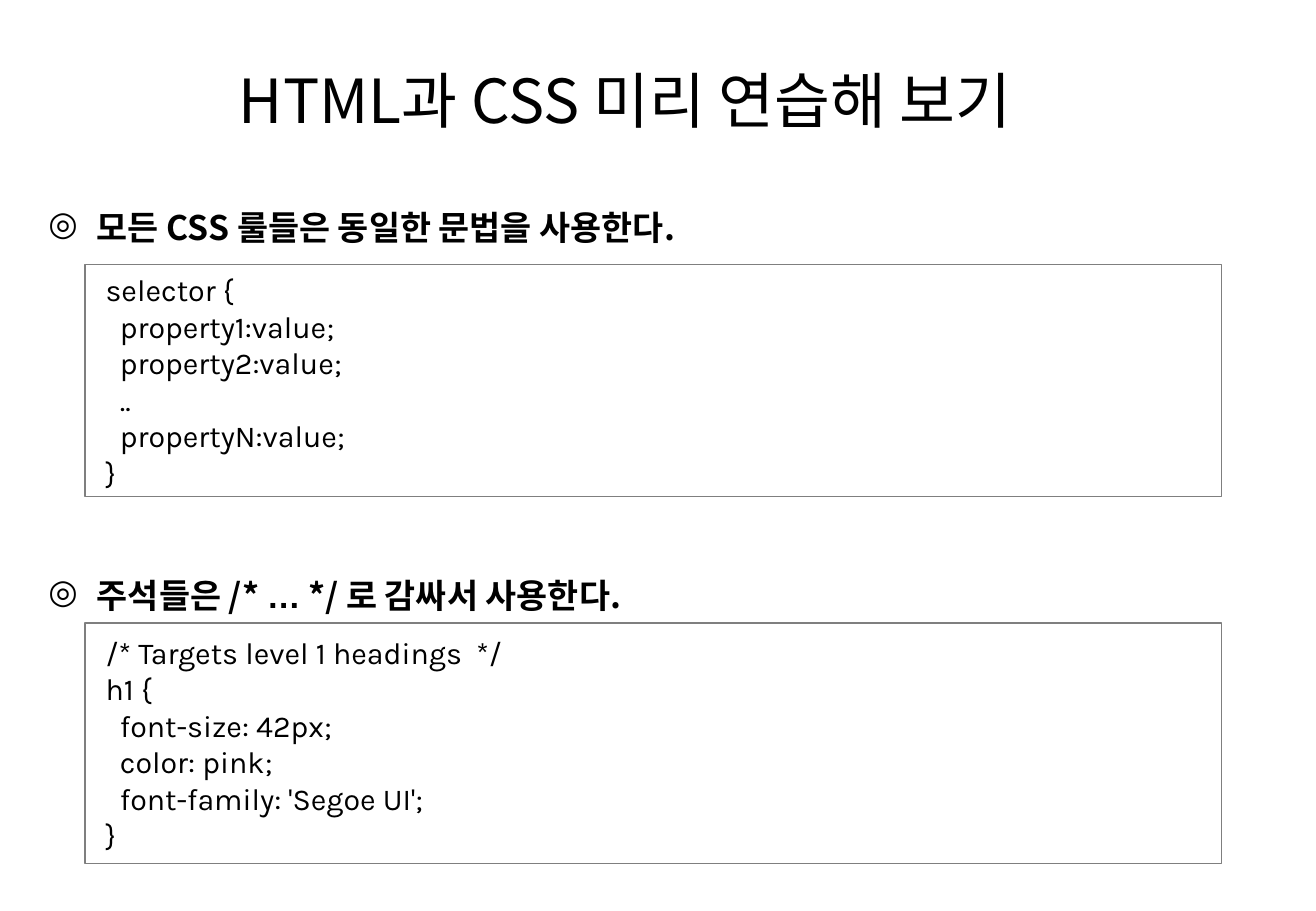
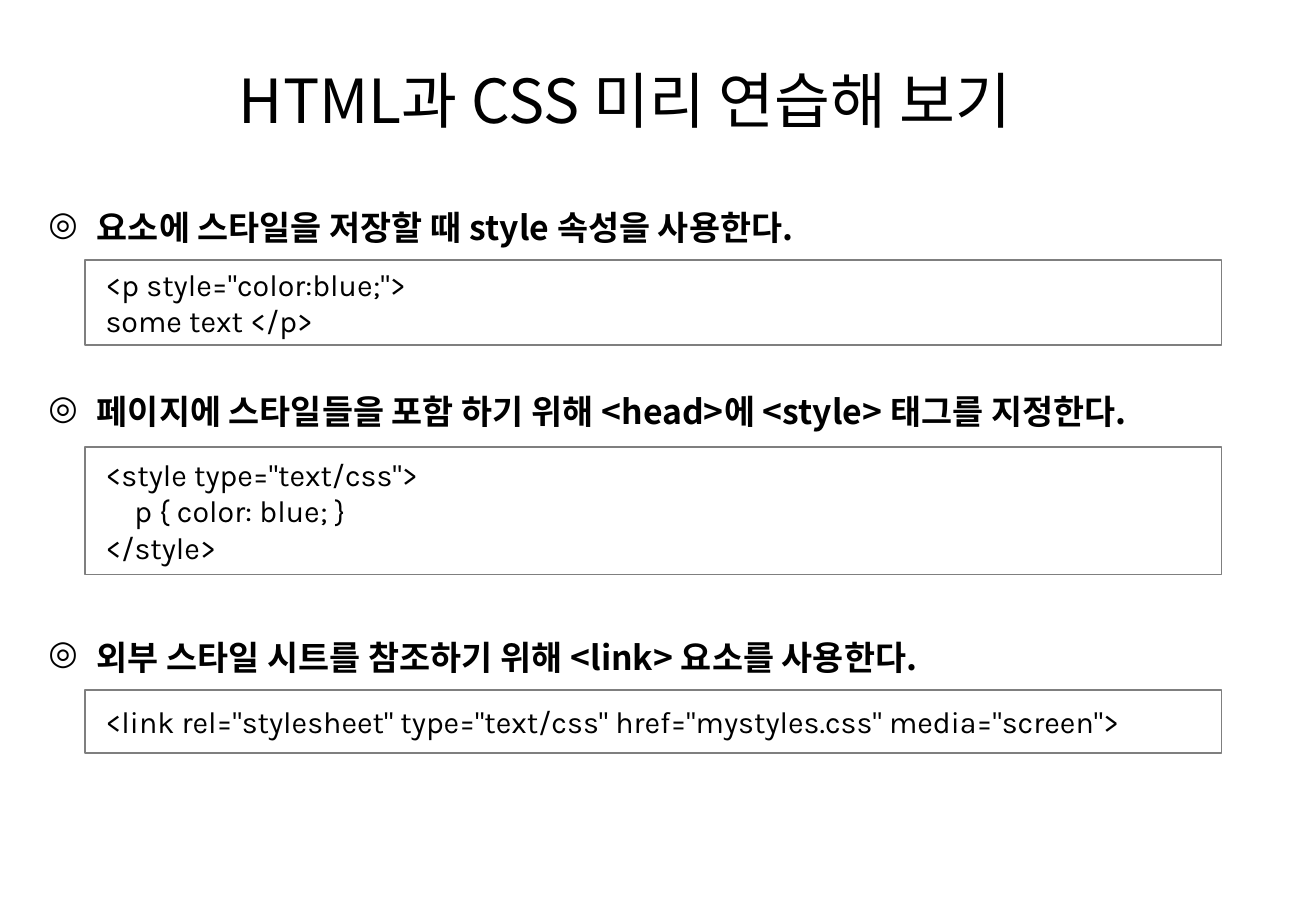
from lxml import etree
from pptx import Presentation
from pptx import util as u
from pptx.dml.color import RGBColor
from pptx.enum import shapes, text
from pptx.oxml.ns import qn

# Content: each rule is (heading runs, row of the heading, code box top, height, code)
TITLE = "HTML과 CSS 미리 연습해 보기"
KOREAN, LATIN, CODE = "Noto Sans CJK KR", "Arial", "Karla"

SYNTAX = """selector {
  property1:value;
  property2:value;
  ..
  propertyN:value;
}"""
COMMENT = """/* Targets level 1 headings  */
h1 {
  font-size: 42px;
  color: pink;
  font-family: 'Segoe UI';
}"""
INLINE = """<p style="color:blue;">
some text </p>"""
EMBEDDED = """<style type="text/css">
    p { color: blue; }
</style>"""
EXTERNAL = '<link rel="stylesheet" type="text/css" href="mystyles.css" media="screen">'

SLIDES = [
    [
        ([("모든 CSS 룰들은 동일한 문법을 사용한다.", KOREAN)], 0, 2.18, 1.91, SYNTAX),
        ([("주석들은 /* ", KOREAN), ("…", LATIN), (" */ 로 감싸서 사용한다.", KOREAN)],
         6, 5.13, 1.98, COMMENT),
    ],
    [
        ([("요소에 스타일을 저장할 때 style 속성을 사용한다.", KOREAN)], 0, 2.14, 0.7, INLINE),
        ([("페이지에 스타일들을 포함 하기 위해 <head>에 <style> 태그를 지정한다.", KOREAN)],
         3, 3.68, 1.05, EMBEDDED),
        ([("외부 스타일 시트를 참조하기 위해 <link> 요소를 사용한다.", KOREAN)],
         7, 5.68, 0.52, EXTERNAL),
    ],
]

# Shared look
INK, BORDER = "000000", "7F7F7F"
HEADING_TOP, ROW = 1.59, 0.505
INDENT = u.Inches(0.4)


def color(value):
    return RGBColor.from_string(value)


def add_run(paragraph, words, font, size, bold=False):
    run = paragraph.add_run()
    run.text = words
    run.font.name, run.font.size, run.font.bold = font, u.Pt(size), bold
    run.font.color.rgb = color(INK)
    etree.SubElement(run.font._element, qn("a:ea")).set("typeface", font)


def add_line(slide, left, top, width, height, spacing):
    box = slide.shapes.add_textbox(*map(u.Inches, (left, top, width, height)))
    box.text_frame.word_wrap = True
    line = box.text_frame.paragraphs[0]
    line.line_spacing = spacing
    return line


def add_heading(slide, runs, row):
    heading = add_line(slide, 0.3, HEADING_TOP + row * ROW, 9.62, 0.5, 1.2)
    props = heading._p.get_or_add_pPr()
    props.set("marL", str(INDENT))
    props.set("indent", str(-INDENT))
    bullet_color = etree.SubElement(props, qn("a:buClr"))
    etree.SubElement(bullet_color, qn("a:srgbClr")).set("val", INK)
    etree.SubElement(props, qn("a:buChar")).set("char", "◎")
    for words, font in runs:
        add_run(heading, words, font, 20, bold=True)


def add_code(slide, top, height, code):
    panel = slide.shapes.add_shape(
        shapes.MSO_SHAPE.RECTANGLE, *map(u.Inches, (0.7, top, 9.36, height)))
    panel.shadow.inherit = False
    panel.fill.background()
    panel.line.color.rgb = color(BORDER)
    panel.line.width = u.Pt(0.75)
    frame = panel.text_frame
    frame.word_wrap = True
    frame.margin_left = u.Inches(0.17)
    frame.vertical_anchor = text.MSO_ANCHOR.MIDDLE
    for i, words in enumerate(code.split("\n")):
        line = frame.add_paragraph() if i else frame.paragraphs[0]
        line.alignment = text.PP_ALIGN.LEFT
        add_run(line, words, CODE, 18)


def main():
    deck = Presentation()
    deck.slide_width, deck.slide_height = u.Inches(10.84), u.Inches(7.5)
    for rules in SLIDES:
        slide = deck.slides.add_slide(deck.slide_layouts[6])
        add_run(add_line(slide, 1.87, 0.56, 8.73, 0.61, 0.85), TITLE, KOREAN, 36)
        for runs, row, top, height, code in rules:
            add_heading(slide, runs, row)
            add_code(slide, top, height, code)
    deck.save("out.pptx")


if __name__ == "__main__":
    main()
